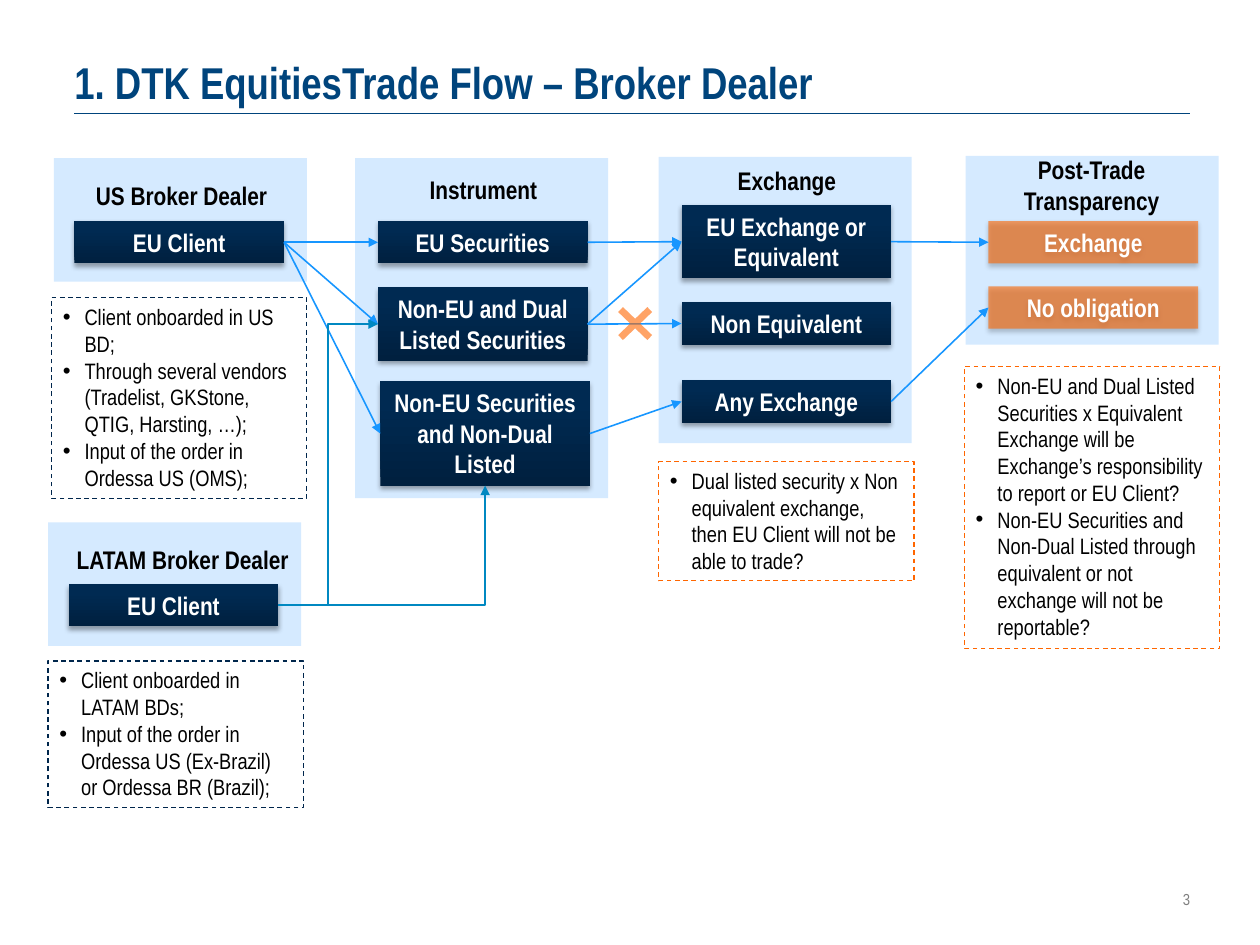
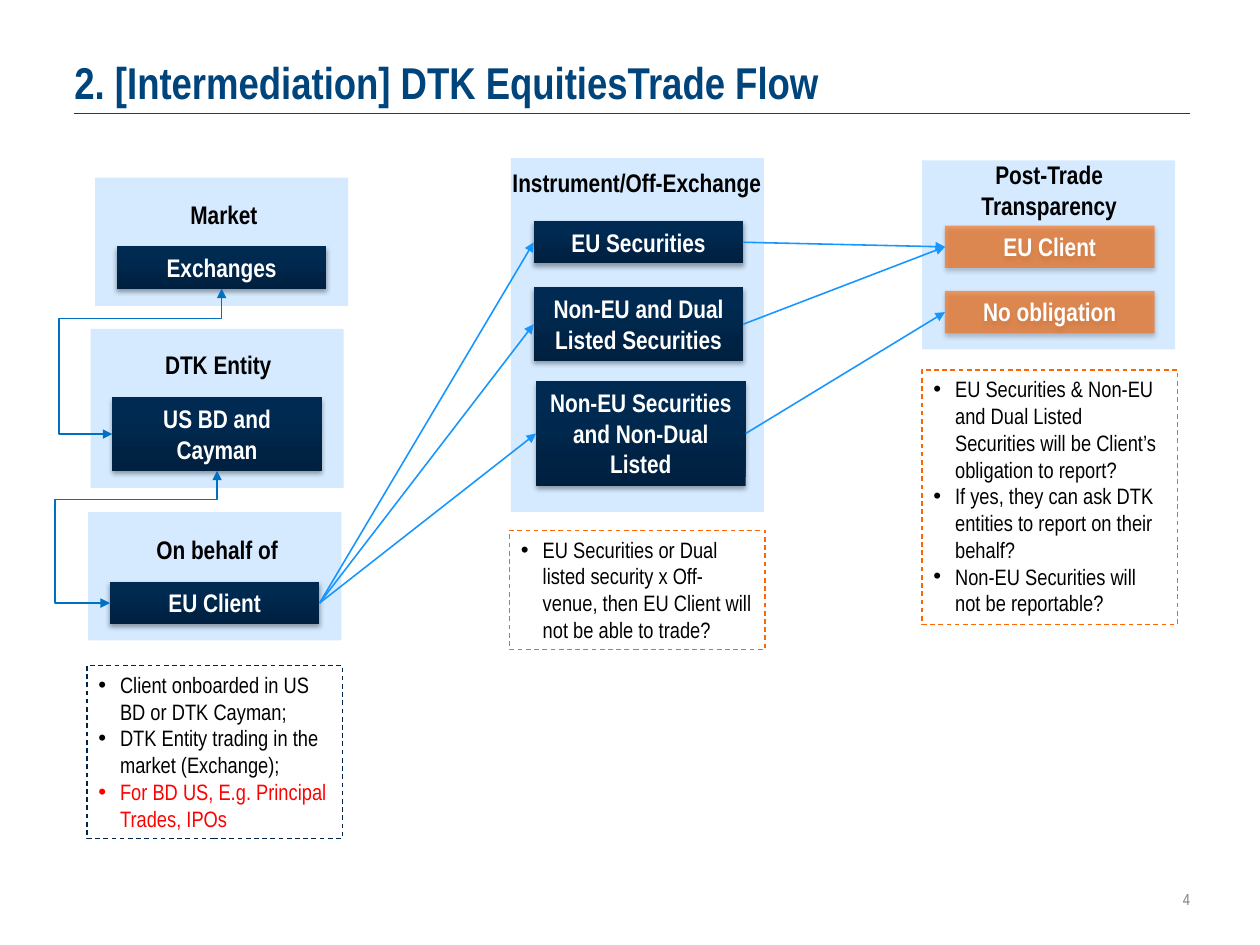
"""Build two trade flow slides: broker dealer and intermediation."""
from pptx import Presentation
from pptx.dml.color import RGBColor
from pptx.enum.dml import MSO_LINE
from pptx.enum.shapes import MSO_CONNECTOR, MSO_SHAPE
from pptx.enum.text import MSO_ANCHOR, PP_ALIGN
from pptx.oxml.ns import qn
from pptx.util import Inches, Pt
from lxml.etree import SubElement

FONT = "Arial Narrow"
TITLE = RGBColor(0x00, 0x44, 0x7C)
GREY = RGBColor(0x7F, 0x7F, 0x7F)
PANEL = RGBColor(0xD5, 0xEA, 0xFF)
DEEP = RGBColor(0x00, 0x20, 0x3F)
NAVY = RGBColor(0x00, 0x2A, 0x52)
EDGE = RGBColor(0x00, 0x26, 0x4C)
ORANGE = RGBColor(0xFF, 0x66, 0x00)
ARROW = RGBColor(0x17, 0x96, 0xFF)
TEAL = RGBColor(0x00, 0x88, 0xC1)
BLUE = RGBColor(0x00, 0x70, 0xC0)
RED = RGBColor(0xFF, 0x00, 0x00)
BLACK = RGBColor(0, 0, 0)
WHITE = RGBColor(0xFF, 0xFF, 0xFF)

PANEL_W, BOX_W, NOTE_W = 2.21, 1.83, 2.23
TOP, LEFT, BOTTOM, RIGHT = range(4)
ALERT = "For BD US, E.g. Principal Trades, IPOs"

# panels: x, y, height; heads: x, y, width, lines, text
# boxes: x, y, lines, text; notes: x, y, height, edge, bullets
SLIDES = [
    {
        "number": 3,
        "title": "1. DTK EquitiesTrade Flow – Broker Dealer",
        "panels": [(0.47, 1.38, 1.08), (3.1, 1.38, 2.97), (5.75, 1.37, 2.5),
                   (8.43, 1.36, 1.65), (0.42, 4.56, 1.08)],
        "heads": [
            (0.56, 1.52, 2.05, 1, "US Broker Dealer"),
            (3.05, 1.47, 2.34, 1, "Instrument"),
            (5.7, 1.39, 2.34, 1, "Exchange"),
            (8.38, 1.3, 2.3, 2, "Post-Trade Transparency"),
            (0.51, 4.7, 2.17, 1, "LATAM Broker Dealer"),
        ],
        "navy": {
            "us": (0.65, 1.93, 1, "EU Client"),
            "latam": (0.6, 5.1, 1, "EU Client"),
            "eu": (3.3, 1.93, 1, "EU Securities"),
            "dual": (3.3, 2.51, 2, "Non-EU and Dual Listed Securities"),
            "other": (3.32, 3.33, 3, "Non-EU Securities and Non-Dual Listed"),
            "equal": (5.95, 1.79, 2, "EU Exchange or Equivalent"),
            "unequal": (5.95, 2.64, 1, "Non Equivalent"),
            "any": (5.95, 3.32, 1, "Any Exchange"),
        },
        "orange": {
            "report": (8.63, 1.93, 1, "Exchange"),
            "none": (8.63, 2.5, 1, "No obligation"),
        },
        "notes": [
            (0.45, 2.6, 1.75, EDGE, [
                "Client onboarded in US BD;",
                "Through several vendors (Tradelist, GKStone, QTIG, Harsting, …);",
                "Input of the order in Ordessa US (OMS);"]),
            (0.42, 5.77, 1.28, EDGE, [
                "Client onboarded in LATAM BDs;",
                "Input of the order in Ordessa US (Ex-Brazil) or Ordessa BR (Brazil);"]),
            (8.42, 3.2, 2.46, ORANGE, [
                "Non-EU and Dual Listed Securities x Equivalent Exchange will be "
                "Exchange’s responsibility to report or EU Client?",
                "Non-EU Securities and Non-Dual Listed through equivalent or not "
                "exchange will not be reportable?"]),
            (5.75, 4.03, 1.04, ORANGE, [
                "Dual listed security x Non equivalent exchange, then EU Client "
                "will not be able to trade?"]),
        ],
        "links": [("us", "eu"), ("us", "dual"), ("us", "other"), ("eu", "equal"),
                  ("dual", "equal"), ("dual", "unequal"), ("other", "any"),
                  ("equal", "report"), ("any", "none")],
        "elbows": [("latam", "dual", LEFT), ("latam", "other", BOTTOM)],
        "loops": [],
        "cross": (5.3, 2.59, 0.49, 0.47),
    },
    {
        "number": 4,
        "title": "2. [Intermediation] DTK EquitiesTrade Flow",
        "panels": [(0.83, 1.55, 1.12), (0.79, 2.87, 1.39), (0.77, 4.47, 1.12),
                   (4.46, 1.38, 3.09), (8.05, 1.4, 1.65)],
        "heads": [
            (0.93, 1.69, 2.05, 1, "Market"),
            (0.88, 3, 2.05, 1, "DTK Entity"),
            (0.87, 4.61, 2.05, 1, "On behalf of"),
            (4.28, 1.41, 2.56, 1, "Instrument/Off-Exchange"),
            (8.01, 1.34, 2.3, 2, "Post-Trade Transparency"),
        ],
        "navy": {
            "market": (1.02, 2.15, 1, "Exchanges"),
            "entity": (0.98, 3.47, 2, "US BD and Cayman"),
            "client": (0.96, 5.08, 1, "EU Client"),
            "eu": (4.66, 1.93, 1, "EU Securities"),
            "dual": (4.66, 2.51, 2, "Non-EU and Dual Listed Securities"),
            "other": (4.68, 3.33, 3, "Non-EU Securities and Non-Dual Listed"),
        },
        "orange": {
            "report": (8.25, 1.97, 1, "EU Client"),
            "none": (8.25, 2.54, 1, "No obligation"),
        },
        "notes": [
            (0.76, 5.81, 1.51, EDGE, [
                "Client onboarded in US BD or DTK Cayman;",
                "DTK Entity trading in the market (Exchange);",
                ALERT]),
            (8.05, 3.23, 2.22, ORANGE, [
                "EU Securities & Non-EU and Dual Listed Securities will be "
                "Client’s obligation to report?",
                "If yes, they can ask DTK entities to report on their behalf?",
                "Non-EU Securities will not be reportable?"]),
            (4.45, 4.63, 1.04, ORANGE, [
                "EU Securities or Dual listed security x Off-venue, then EU "
                "Client will not be able to trade?"]),
        ],
        "links": [("client", "eu"), ("client", "dual"), ("client", "other"),
                  ("eu", "report"), ("dual", "report"), ("other", "none")],
        "elbows": [],
        "loops": [("market", "entity", 20400, 148500),
                  ("entity", "client", 21900, 151500)],
        "cross": None,
    },
]


def add(parent, tag, **attrs):
    return SubElement(parent, qn(tag), {k: str(v) for k, v in attrs.items()})


def write(shape, lines, size, color, bold=False, align=PP_ALIGN.LEFT):
    frame = shape.text_frame
    frame.word_wrap = True
    frame.vertical_anchor = MSO_ANCHOR.TOP
    frame.text = "\n".join(lines)
    for para in frame.paragraphs:
        para.alignment = align
        font = para.font
        font.name, font.size, font.bold = FONT, Pt(size), bold
        font.color.rgb = color
    return frame


def label(slide, spot, text, size, color, bold, align):
    box = slide.shapes.add_textbox(*map(Inches, spot))
    return write(box, [text], size, color, bold, align)


def edge_label(*args):
    frame = label(*args)
    frame.vertical_anchor = MSO_ANCHOR.BOTTOM
    frame.margin_left = frame.margin_right = 0
    frame.margin_top = frame.margin_bottom = 0


def block(slide, spot, fill=None, kind=MSO_SHAPE.RECTANGLE):
    shape = slide.shapes.add_shape(kind, *map(Inches, spot))
    shape.shadow.inherit = False
    shape.line.fill.background()
    if fill is None:
        shape.fill.background()
    else:
        shape.fill.solid()
        shape.fill.fore_color.rgb = fill
    return shape


def fade(shape):
    color = shape.fill._xPr.find(qn("a:solidFill"))[0]
    add(color, "a:alpha", val=60000)


def height(lines):
    return 0.1 + 0.27 * lines


def button(slide, x, y, lines, text, fill):
    shape = block(slide, (x, y, BOX_W, height(lines)), fill)
    if fill == ORANGE:
        fade(shape)
    else:
        shape.fill.gradient()
        shape.fill.gradient_angle = 90
        for stop, color, place in zip(shape.fill.gradient_stops, (DEEP, NAVY), (0, 0.8)):
            stop.color.rgb, stop.position = color, place
    effects = shape._element.spPr.find(qn("a:effectLst"))
    shade = add(effects, "a:outerShdw", blurRad=Pt(3.1), dist=Pt(1.8),
                dir=5400000, rotWithShape=0)
    add(add(shade, "a:srgbClr", val="000000"), "a:alpha", val=35000)
    write(shape, [text], 16, WHITE, True, PP_ALIGN.CENTER)
    return shape


def note(slide, x, y, tall, edge, lines):
    shape = block(slide, (x, y, NOTE_W, tall))
    shape.line.color.rgb = edge
    shape.line.width = Pt(0.75)
    shape.line.dash_style = MSO_LINE.DASH
    for para in write(shape, lines, 14, BLACK).paragraphs:
        if para.text == ALERT:
            para.font.color.rgb = RED
            para.runs[0].font.color.rgb = RED
        props = para._p.get_or_add_pPr()
        props.set("marL", str(Inches(0.19)))
        props.set("indent", str(-Inches(0.19)))
        mark = add(props, "a:buFont", typeface="Arial")
        bullet = add(props, "a:buChar", char="•")
        props.insert(0, mark)
        props.insert(1, bullet)


def line(slide, color, kind=MSO_CONNECTOR.STRAIGHT, ends=(0, 0, 0, 0), tips=()):
    link = slide.shapes.add_connector(kind, *map(Inches, ends))
    link.line.color.rgb = color
    link.line.width = Pt(1)
    for tip in tips:
        add(link.line._ln, tip, type="triangle")
    add(link._element.spPr, "a:effectLst")
    return link


def join(slide, start, end, color, sides=(RIGHT, LEFT),
         kind=MSO_CONNECTOR.STRAIGHT, tips=("a:tailEnd",)):
    link = line(slide, color, kind, tips=tips)
    link.begin_connect(start, sides[0])
    link.end_connect(end, sides[1])
    return link


def loop(slide, start, end, *bends):
    link = join(slide, start, end, BLUE, (BOTTOM, LEFT), MSO_CONNECTOR.ELBOW,
                ("a:headEnd", "a:tailEnd"))
    wide, tall = link.width, link.height
    mid_x, mid_y = link.left + wide // 2, link.top + tall // 2
    link.left, link.top = mid_x - tall // 2, mid_y - wide // 2
    link.width, link.height = tall, wide
    props = link._element.spPr
    frame = props.find(qn("a:xfrm"))
    frame.attrib.pop("flipH", None)
    frame.set("rot", "5400000")
    shape = props.find(qn("a:prstGeom"))
    shape.set("prst", "bentConnector4")
    guides = shape.find(qn("a:avLst"))
    for i, bend in enumerate(bends, 1):
        add(guides, "a:gd", name=f"adj{i}", fmla=f"val {bend}")


def draw(slide, data):
    line(slide, TITLE, ends=(0.65, 0.99, 10.39, 0.99))
    edge_label(slide, (9.91, 7.73, 0.48, 0.2), str(data["number"]), 10, GREY,
               False, PP_ALIGN.RIGHT)
    edge_label(slide, (0.65, 0.1, 9.74, 0.85), data["title"], 28, TITLE,
               True, PP_ALIGN.LEFT)
    for x, y, tall in data["panels"]:
        block(slide, (x, y, PANEL_W, tall), PANEL)
    for x, y, wide, lines, text in data["heads"]:
        label(slide, (x, y, wide, height(lines)), text, 16, BLACK, True, PP_ALIGN.CENTER)
    boxes = {}
    for group, fill in (("navy", NAVY), ("orange", ORANGE)):
        for key, spec in data[group].items():
            boxes[key] = button(slide, *spec, fill)
    for item in data["notes"]:
        note(slide, *item)
    for start, end in data["links"]:
        join(slide, boxes[start], boxes[end], ARROW)
    for start, end, side in data["elbows"]:
        link = join(slide, boxes[start], boxes[end], TEAL, (RIGHT, side),
                    MSO_CONNECTOR.ELBOW)
        if side == BOTTOM:
            link._element.spPr.find(qn("a:prstGeom")).set("prst", "bentConnector2")
    for start, end, *bends in data["loops"]:
        loop(slide, boxes[start], boxes[end], *bends)
    if data["cross"]:
        cross = block(slide, data["cross"], ORANGE, MSO_SHAPE.MATH_MULTIPLY)
        cross.adjustments[0] = 0.128
        fade(cross)


def main():
    deck = Presentation()
    deck.slide_width, deck.slide_height = Inches(11), Inches(8.25)
    for data in SLIDES:
        draw(deck.slides.add_slide(deck.slide_layouts[6]), data)
    deck.save("out.pptx")


if __name__ == "__main__":
    main()
